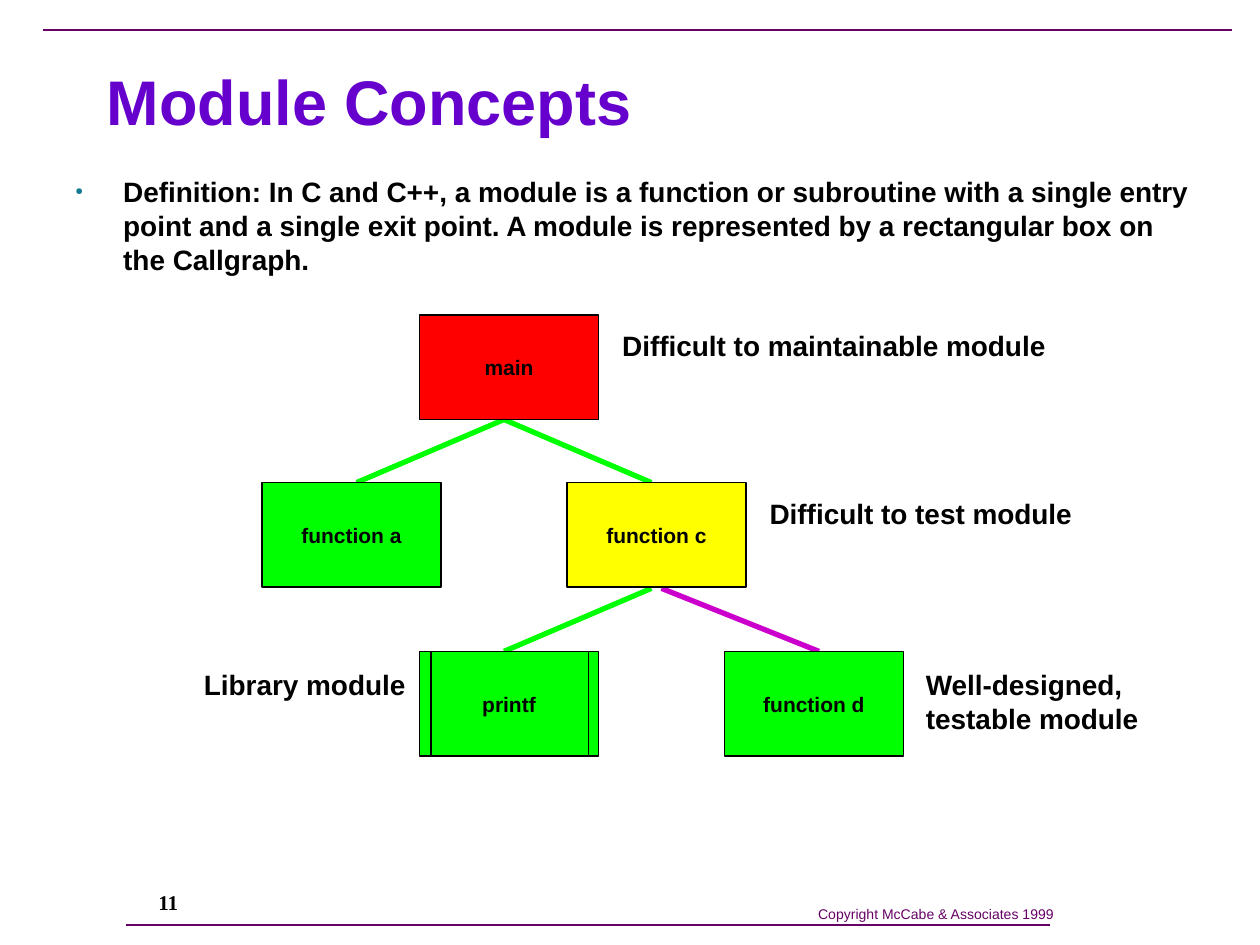
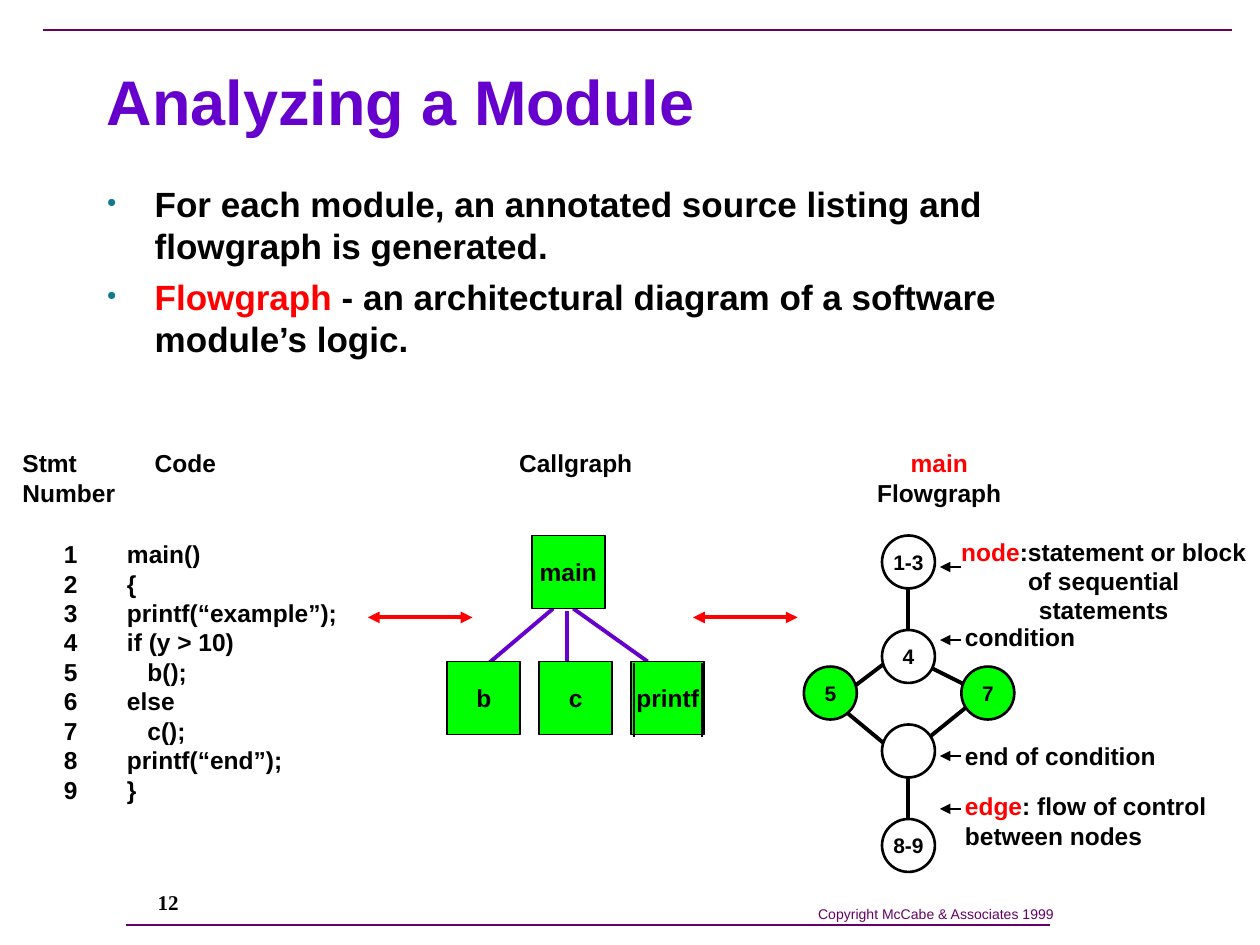
from dataclasses import dataclass
from typing import Optional

import pptx
import pptx.dml.color
import pptx.enum.shapes
import pptx.enum.text
import pptx.oxml
import pptx.oxml.ns
import pptx.util
from pptx.util import Inches

RGBColor = pptx.dml.color.RGBColor
Shapes = pptx.enum.shapes.MSO_SHAPE
Align = pptx.enum.text.PP_ALIGN
Anchor = pptx.enum.text.MSO_ANCHOR
AutoSize = pptx.enum.text.MSO_AUTO_SIZE

BLACK = RGBColor(0x00, 0x00, 0x00)
WHITE = RGBColor(0xFF, 0xFF, 0xFF)
RED = RGBColor(0xFF, 0x00, 0x00)
GREEN = RGBColor(0x00, 0xFF, 0x00)
YELLOW = RGBColor(0xFF, 0xFF, 0x00)
MAGENTA = RGBColor(0xCC, 0x00, 0xCC)
VIOLET = RGBColor(0x66, 0x00, 0xCC)
PLUM = RGBColor(0x66, 0x00, 0x66)
TEAL = RGBColor(0x13, 0x79, 0x91)


@dataclass
class Style:
    size: float
    color: RGBColor = BLACK
    bold: bool = True
    font: str = "Arial"
    align: Align = Align.LEFT
    space_before: float = 0


@dataclass
class Label:
    left: float
    top: float
    width: float
    height: float
    text: str
    style: Style
    highlight: str = ""
    wrap: bool = False
    anchor: Anchor = Anchor.TOP
    tab: Optional[float] = None


@dataclass
class Node:
    left: float
    top: float
    text: str
    fill: RGBColor = GREEN


@dataclass
class NodeKind:
    shape: Shapes
    width: float
    height: float
    line_width: float
    style: Style


@dataclass
class Line:
    x1: float
    y1: float
    x2: float
    y2: float
    color: RGBColor = BLACK
    width: float = 2.25
    head: bool = False
    tail: bool = False


TITLE = Style(36, VIOLET)
COPYRIGHT = Style(8, PLUM, bold=False, align=Align.CENTER)
PAGE_NUMBER = Style(12, font="Times New Roman", align=Align.CENTER)
NOTE = Style(16)
SMALL = Style(14)
SMALL_CENTERED = Style(14, align=Align.CENTER)
NODE_TEXT = Style(12, align=Align.CENTER)

MODULE = NodeKind(Shapes.RECTANGLE, 1.42, 0.83, 0.75, NODE_TEXT)
MAP_BOX = NodeKind(Shapes.RECTANGLE, 0.58, 0.58, 1, SMALL_CENTERED)
FLOW_NODE = NodeKind(Shapes.OVAL, 0.42, 0.42, 1.5, NODE_TEXT)


def add_xml(parent, markup: str) -> None:
    """Append one DrawingML element."""
    namespace = pptx.oxml.ns.nsdecls("a")
    name, _, rest = markup.partition(" ")
    parent.append(pptx.oxml.parse_xml(f"<a:{name} {namespace} {rest}"))


def write(text_frame, text: str, style: Style, highlight: str = "") -> None:
    """Fill a frame, one paragraph a line, with the highlighted word in red."""
    for index, line in enumerate(text.split("\n")):
        paragraph = text_frame.paragraphs[0] if index == 0 else text_frame.add_paragraph()
        paragraph.alignment = style.align
        if index and style.space_before:
            paragraph.space_before = pptx.util.Pt(style.space_before)
        marked = highlight if line.startswith(highlight) else ""
        for part, color in ((marked, RED), (line[len(marked):], style.color)):
            if part:
                run = paragraph.add_run()
                run.text = part
                run.font.name = style.font
                run.font.size = pptx.util.Pt(style.size)
                run.font.bold = style.bold
                run.font.color.rgb = color


def add_label(slide, label: Label):
    box = slide.shapes.add_textbox(Inches(label.left), Inches(label.top),
                                   Inches(label.width), Inches(label.height))
    text_frame = box.text_frame
    text_frame.word_wrap = label.wrap
    if not label.wrap:
        text_frame.auto_size = AutoSize.SHAPE_TO_FIT_TEXT
    text_frame.vertical_anchor = label.anchor
    write(text_frame, label.text, label.style, label.highlight)
    if label.tab is not None:
        for paragraph in text_frame.paragraphs:
            properties = paragraph._p.get_or_add_pPr()
            add_xml(properties, f'tabLst ><a:tab pos="{Inches(label.tab)}" algn="l"/></a:tabLst>')
    return box


def add_bullets(slide, label: Label) -> None:
    box = add_label(slide, label)
    for paragraph in box.text_frame.paragraphs:
        properties = paragraph._p.get_or_add_pPr()
        properties.set("marL", str(Inches(0.38)))
        properties.set("indent", str(-Inches(0.38)))
        add_xml(properties, f'buClr ><a:srgbClr val="{TEAL}"/></a:buClr>')
        add_xml(properties, 'buSzPct val="35000"/>')
        add_xml(properties, 'buChar char="●"/>')


def add_node(slide, node: Node, kind: NodeKind) -> None:
    shape = slide.shapes.add_shape(kind.shape, Inches(node.left), Inches(node.top),
                                   Inches(kind.width), Inches(kind.height))
    shape.shadow.inherit = False
    shape.fill.solid()
    shape.fill.fore_color.rgb = node.fill
    shape.line.color.rgb = BLACK
    shape.line.width = pptx.util.Pt(kind.line_width)
    shape.text_frame.word_wrap = False
    shape.text_frame.vertical_anchor = Anchor.MIDDLE
    write(shape.text_frame, node.text, kind.style)


def add_line(slide, line: Line) -> None:
    connector = slide.shapes.add_connector(
        pptx.enum.shapes.MSO_CONNECTOR.STRAIGHT,
        Inches(line.x1), Inches(line.y1), Inches(line.x2), Inches(line.y2))
    connector.line.color.rgb = line.color
    connector.line.width = pptx.util.Pt(line.width)
    outline = connector.line._get_or_add_ln()
    for end, wanted in (("headEnd", line.head), ("tailEnd", line.tail)):
        if wanted:
            add_xml(outline, f'{end} type="triangle"/>')
    add_xml(connector._element.spPr, "effectLst />")


def start_slide(presentation, title: str, number: int):
    """Add a slide with the rules, footer and title that all slides share."""
    slide = presentation.slides.add_slide(presentation.slide_layouts[6])
    add_line(slide, Line(0.34, 0.24, 9.78, 0.24, PLUM, 1))
    add_label(slide, Label(6.39, 7.14, 2.08, 0.23, "Copyright McCabe & Associates 1999", COPYRIGHT))
    add_line(slide, Line(1, 7.34, 8.33, 7.34, PLUM, 1))
    add_label(slide, Label(0.86, 7.01, 0.95, 0.3, str(number), PAGE_NUMBER, anchor=Anchor.MIDDLE))
    add_label(slide, Label(0.75, 0.42, 9, 0.75, title, TITLE, wrap=True, anchor=Anchor.MIDDLE))
    return slide


def build_concepts(presentation) -> None:
    slide = start_slide(presentation, "Module Concepts", 11)
    add_bullets(slide, Label(
        0.5, 1.34, 9.1, 1,
        "Definition: In C and C++, a module is a function or subroutine with a single "
        "entry point and a single exit point. A module is represented by a rectangular "
        "box on the Callgraph.", NOTE, wrap=True))

    # Calls between modules
    for x1, y1, x2, color in ((4, 3.33, 2.83, GREEN), (4, 3.33, 5.17, GREEN),
                              (5.17, 4.67, 4, GREEN), (5.25, 4.67, 6.5, MAGENTA)):
        add_line(slide, Line(x1, y1, x2, y1 + 0.5, color, 3))

    # Modules
    for node in (Node(3.33, 2.5, "main", RED), Node(2.08, 3.83, "function a"),
                 Node(4.5, 3.83, "function c", YELLOW),
                 Node(5.75, 5.17, "function d"), Node(3.33, 5.17, "printf")):
        add_node(slide, node, MODULE)
    for x in (3.42, 4.67):
        add_line(slide, Line(x, 5.17, x, 6, width=0.75))

    # Notes beside the modules
    for label in (
            Label(4.84, 2.56, 3.56, 0.37, "Difficult to maintainable module", NOTE),
            Label(6.01, 3.89, 2.6, 0.37, "Difficult to test module", NOTE),
            Label(7.25, 5.25, 2.27, 0.64, "Well-designed, testable module", NOTE, wrap=True),
            Label(1.52, 5.25, 1.8, 0.37, "Library module", NOTE)):
        add_label(slide, label)


def build_analysis(presentation) -> None:
    slide = start_slide(presentation, "Analyzing a Module", 12)
    add_bullets(slide, Label(
        0.75, 1.4, 8.5, 1.6,
        "For each module, an annotated source listing and flowgraph is generated.\n"
        "Flowgraph - an architectural diagram of a software module’s logic.",
        Style(20, space_before=5), "Flowgraph", wrap=True))

    # Source listing
    code = ("main()", "{", "printf(“example”);", "if (y > 10)", "   b();",
            "else", "   c();", "printf(“end”);", "}")
    listing = "\n".join(f"{number}\t{line}" for number, line in enumerate(code, 1))
    add_label(slide, Label(0.41, 4.23, 2.5, 2.2, listing, SMALL, wrap=True, tab=0.5))
    add_label(slide, Label(0.08, 3.51, 1.9, 0.57, "Stmt\tCode\nNumber", SMALL, wrap=True, tab=1.05))

    # Headings and flowgraph notes
    for label in (
            Label(4, 3.51, 1.14, 0.34, "Callgraph", SMALL_CENTERED),
            Label(6.61, 3.51, 1.69, 0.34, "main Flowgraph", SMALL_CENTERED, "main"),
            Label(7.52, 4.21, 2.48, 0.57, "node:statement or block\nof sequential statements",
                  SMALL_CENTERED, "node"),
            Label(7.56, 4.89, 1.2, 0.34, "condition", SMALL, wrap=True),
            Label(7.56, 5.83, 1.9, 0.34, "end of condition", SMALL, wrap=True),
            Label(7.56, 6.23, 2.3, 0.57, "edge: flow of control\nbetween nodes",
                  SMALL, "edge", wrap=True)):
        add_label(slide, label)

    # Arrows between the three views
    for x in (2.92, 5.5):
        add_line(slide, Line(x, 4.9, x + 0.83, 4.9, RED, head=True, tail=True))

    # Flowgraph
    for edge in (Line(7.04, 5.25, 6.71, 5.5), Line(6.63, 5.58, 7.04, 5.92),
                 Line(7.29, 5.25, 7.79, 5.5), Line(7.71, 5.58, 7.29, 5.92),
                 Line(7.21, 4.58, 7.21, 5.25), Line(7.21, 6, 7.21, 6.67)):
        add_line(slide, edge)
    for node in (Node(7, 4.25, "1-3", WHITE), Node(7, 5, "4", WHITE),
                 Node(6.38, 5.29, "5"), Node(7.63, 5.29, "7"),
                 Node(7, 5.75, "", WHITE), Node(7, 6.5, "8-9", WHITE)):
        add_node(slide, node, FLOW_NODE)
    for y in (4.5, 5.08, 6, 6.42):
        add_line(slide, Line(7.63, y, 7.46, y, width=0.75, tail=True))

    # Call tree
    for x1, y1, x2, y2 in ((4.5, 4.85, 4.5, 5.26), (4.39, 4.83, 3.8, 5.33),
                           (4.55, 4.83, 5.14, 5.25)):
        add_line(slide, Line(x1, y1, x2, y2, VIOLET))
    add_node(slide, Node(4.22, 4.25, "main"), MAP_BOX)
    for column, name in enumerate(("b", "c", "printf")):
        add_node(slide, Node(3.55 + 0.73 * column, 5.25, name), MAP_BOX)
    for x in (5.03, 5.57):
        add_line(slide, Line(x, 5.26, x, 5.85, width=1))


def main() -> None:
    presentation = pptx.Presentation()
    presentation.slide_width = Inches(10)
    presentation.slide_height = Inches(7.5)
    build_concepts(presentation)
    build_analysis(presentation)
    presentation.save("out.pptx")


if __name__ == "__main__":
    main()
